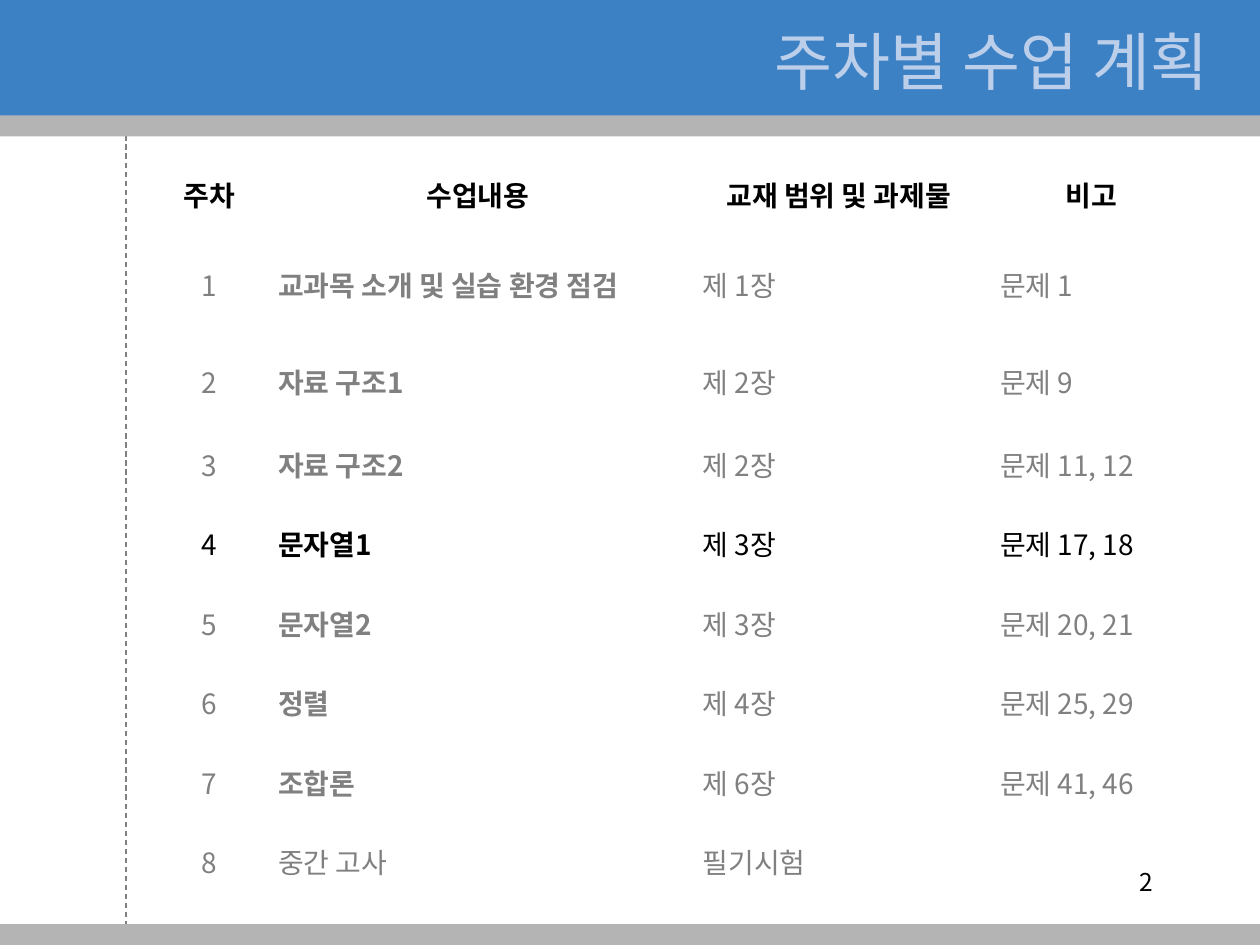
from lxml.etree import SubElement
from pptx import Presentation
from pptx.dml.color import RGBColor
from pptx.enum.dml import MSO_LINE
from pptx.enum.shapes import MSO_CONNECTOR, MSO_SHAPE
from pptx.enum.text import MSO_ANCHOR, MSO_AUTO_SIZE, PP_ALIGN
from pptx.oxml.ns import qn
from pptx.util import Pt

FONT = "Noto Sans CJK KR"
BLUE = RGBColor(0x3D, 0x81, 0xC5)
PALE_BLUE = RGBColor(0xBC, 0xCF, 0xEA)
BAND_GREY = RGBColor(0xB4, 0xB4, 0xB4)
GREY = RGBColor(0x80, 0x80, 0x80)
BLACK = RGBColor(0, 0, 0)
WHITE = RGBColor(0xFF, 0xFF, 0xFF)

PAGE_WIDTH, PAGE_HEIGHT = 720, 540
COLUMN_WIDTHS = [64, 242.6, 170, 118.8]
ROW_HEIGHTS = [41, 61.2, 49.7] + [45.4] * 6
COLUMN_ALIGNS = [PP_ALIGN.CENTER, PP_ALIGN.JUSTIFY, PP_ALIGN.LEFT, PP_ALIGN.LEFT]
HEADINGS = ["주차", "수업내용", "교재 범위 및 과제물", "비고"]
WEEKS = [
    ["교과목 소개 및 실습 환경 점검", "제 1장", "문제 1"],
    ["자료 구조1", "제 2장", "문제 9"],
    ["자료 구조2", "제 2장", "문제 11, 12"],
    ["문자열1", "제 3장", "문제 17, 18"],
    ["문자열2", "제 3장", "문제 20, 21"],
    ["정렬", "제 4장", "문제 25, 29"],
    ["조합론", "제 6장", "문제 41, 46"],
    ["중간 고사", "필기시험", ""],
]
CURRENT_WEEK = 4
EXAM_WEEK = 8


def write_text(frame, text, align, color, **font_format):
    """Fill a frame with one formatted paragraph."""
    para = frame.paragraphs[0]
    para.alignment = align
    span = para.add_run()
    span.text = text
    for name, value in {"name": FONT, **font_format}.items():
        setattr(span.font, name, value)
    span.font.color.rgb = color
    SubElement(span.font._element, qn("a:ea")).set("typeface", FONT)


def place(box, left, top, width, height):
    frame_format = {"left": left, "top": top, "width": width, "height": height}
    for name, value in frame_format.items():
        setattr(box, name, Pt(value))


def add_band(page, top, height, color):
    """Full-width bar without outline."""
    band = page.shapes.add_shape(
        MSO_SHAPE.RECTANGLE, 0, Pt(top), Pt(PAGE_WIDTH), Pt(height))
    band.shadow.inherit = False
    band.fill.solid()
    band.fill.fore_color.rgb = color
    band.line.fill.background()


def add_margin_line(page):
    rule = page.shapes.add_connector(
        MSO_CONNECTOR.STRAIGHT, Pt(72), 0, Pt(72), Pt(PAGE_HEIGHT))
    rule.line.color.rgb = GREY
    rule.line.width = Pt(0.75)
    rule.line.dash_style = MSO_LINE.DASH
    SubElement(rule.element.spPr, qn("a:effectLst"))


def add_title(page, text):
    title = page.shapes.title
    place(title, 275, 9.4, 430.6, 50.4)
    frame = title.text_frame
    frame.auto_size = MSO_AUTO_SIZE.NONE
    frame.vertical_anchor = MSO_ANCHOR.MIDDLE
    write_text(frame, text, PP_ALIGN.RIGHT, PALE_BLUE, size=Pt(36))
    # Bring the title in front of the header bar
    title.element.getparent().append(title.element)


def fill_cell(cell, text, align, color, bold):
    cell.fill.solid()
    cell.fill.fore_color.rgb = WHITE
    cell.vertical_anchor = MSO_ANCHOR.MIDDLE
    if text:
        write_text(cell.text_frame, text, align, color, size=Pt(16), bold=bold)


def add_schedule(page):
    table = page.shapes.add_table(
        len(ROW_HEIGHTS), len(COLUMN_WIDTHS), Pt(87.8), Pt(90.7),
        Pt(sum(COLUMN_WIDTHS)), Pt(sum(ROW_HEIGHTS))).table
    table.first_row = table.horz_banding = False
    for column, width in zip(table.columns, COLUMN_WIDTHS):
        column.width = Pt(width)
    for row, height in zip(table.rows, ROW_HEIGHTS):
        row.height = Pt(height)

    # Heading row
    for cell, heading in zip(table.rows[0].cells, HEADINGS):
        fill_cell(cell, heading, PP_ALIGN.CENTER, BLACK, True)

    # One row a week, with the current week in black
    for week, entries in enumerate(WEEKS, start=1):
        color = BLACK if week == CURRENT_WEEK else GREY
        for index, text in enumerate([str(week), *entries]):
            bold = index == 1 and week != EXAM_WEEK
            fill_cell(table.cell(week, index), text, COLUMN_ALIGNS[index], color, bold)


def add_page_number(page, number):
    box = page.shapes.add_textbox(Pt(516.2), Pt(491.8), Pt(149.8), Pt(36))
    box.text_frame.word_wrap = True
    write_text(box.text_frame, number, PP_ALIGN.RIGHT, BLACK, size=Pt(14))


def main():
    deck = Presentation()
    deck.slide_width, deck.slide_height = Pt(PAGE_WIDTH), Pt(PAGE_HEIGHT)
    page = deck.slides.add_slide(deck.slide_layouts[5])

    # Background frame
    add_margin_line(page)
    add_band(page, 60, 18, BAND_GREY)
    add_band(page, 0, 66, BLUE)
    add_band(page, 528, 12, BAND_GREY)

    # Content
    add_title(page, "주차별 수업 계획 ")
    add_schedule(page)
    add_page_number(page, "2")
    deck.save("out.pptx")


if __name__ == "__main__":
    main()
